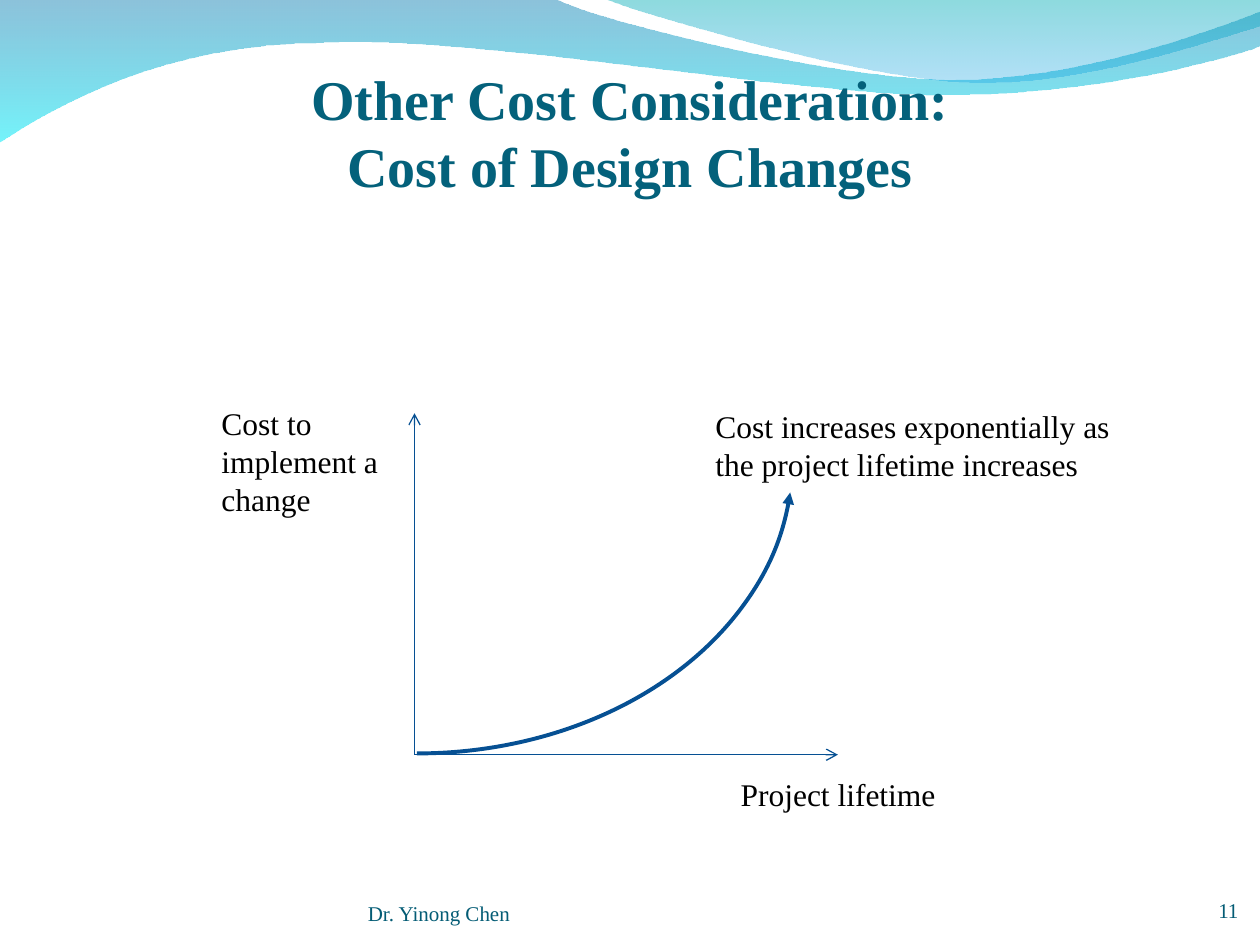
from lxml.etree import SubElement
from pptx import Presentation
from pptx.dml.color import RGBColor
from pptx.enum.shapes import MSO_CONNECTOR as CONNECTOR, MSO_SHAPE as SHAPE
from pptx.enum.text import MSO_ANCHOR as ANCHOR, MSO_AUTO_SIZE as AUTO_SIZE, PP_ALIGN as ALIGN
from pptx.oxml.ns import qn
from pptx.util import Inches, Pt

FONT = "Times New Roman"
BLACK = RGBColor(0x00, 0x00, 0x00)
TITLE_TEAL = RGBColor(0x04, 0x61, 0x7B)
FOOTER_TEAL = RGBColor(0x04, 0x5C, 0x75)
LINE_BLUE = RGBColor(0x06, 0x50, 0x93)
WAVE_BLUE = RGBColor(0x00, 0x79, 0xAF)
WAVE_CYAN = RGBColor(0x00, 0xEB, 0xF8)
WAVE_GREEN = RGBColor(0x00, 0xAD, 0xB6)
WAVE_SKY = RGBColor(0x00, 0x9B, 0xE5)


def draw_outline(shapes, start, segments):
    points = [(Inches(x), Inches(y)) for segment in segments for x, y in segment]
    builder = shapes.build_freeform(*map(Inches, start))
    builder.add_line_segments(points, close=True)
    shape = builder.convert_to_shape()
    lines = shape._element.spPr.iter(qn("a:lnTo"))
    lines = iter(list(lines))
    for segment in segments:
        first, *others = [next(lines) for _ in segment]
        if others:
            first.tag = qn("a:cubicBezTo")
        for other in others:
            first.append(other[0])
            other.getparent().remove(other)
    return shape


def write_text(shape, text, size, color, margins, anchor=ANCHOR.TOP, align=ALIGN.LEFT, bold=False):
    frame = shape.text_frame
    frame.text = text
    sides = ("margin_left", "margin_top", "margin_right", "margin_bottom")
    frame_format = dict(zip(sides, map(Inches, margins)))
    frame_format.update(word_wrap=True, auto_size=AUTO_SIZE.NONE, vertical_anchor=anchor)
    for name, value in frame_format.items():
        setattr(frame, name, value)
    paragraph = frame.paragraphs[0]
    paragraph.alignment = align
    for run in paragraph.runs:
        for name, value in {"name": FONT, "size": Pt(size), "bold": bold}.items():
            setattr(run.font, name, value)
        run.font.color.rgb = color


presentation = Presentation()
presentation.slide_width = Inches(10)
presentation.slide_height = Inches(7.5)
slide = presentation.slides.add_slide(presentation.slide_layouts[5])
shapes = slide.shapes

waves = [
    (
        (0, -0.01),
        [
            [(4.4, -0.01)],
            [(4.76, 0.17), (6.64, 0.63), (7.58, 0.63)],
            [(8.53, 0.63), (9.58, 0.26), (10, 0.09)],
            [(10.01, 0.36)],
            [(9.83, 0.44), (8.7, 0.76), (7.46, 0.75)],
            [(6.22, 0.75), (3.82, 0.28), (2.57, 0.34)],
            [(1.29, 0.35), (0.46, 0.83), (-0.01, 1.13)],
        ],
        [(WAVE_BLUE, 45), (WAVE_CYAN, 55)],
    ),
    (
        (4.79, -0.01),
        [
            [(5.09, 0.11), (6.82, 0.62), (7.69, 0.65)],
            [(8.56, 0.69), (9.61, 0.32), (10, 0.21)],
            [(10, 0)],
        ],
        [(WAVE_GREEN, 45), (WAVE_SKY, 30)],
    ),
]
for start, segments, colors in waves:
    wave = draw_outline(shapes, start, segments)
    wave.shadow.inherit = False
    wave.line.fill.background()
    wave.fill.gradient()
    wave.fill.gradient_angle = 270
    for position, (stop, (color, _)) in enumerate(zip(wave.fill.gradient_stops, colors)):
        stop.position = position
        stop.color.rgb = color
    for color_element, (_, opacity) in zip(wave._element.spPr.iter(qn("a:srgbClr")), colors):
        SubElement(color_element, qn("a:alpha"), val=str(opacity * 1000))

graph = shapes.add_group_shape().shapes
origin = (Inches(3.29), Inches(5.99))
for axis_end in [(3.29, 3.28), (6.65, 5.99)]:
    axis = graph.add_connector(CONNECTOR.STRAIGHT, *origin, *map(Inches, axis_end))
    axis.line.color.rgb = LINE_BLUE
    axis.line.width = Pt(0.75)
    SubElement(axis.line._get_or_add_ln(), qn("a:tailEnd"), type="arrow")
    SubElement(axis._element.spPr, qn("a:effectLst"))

cost_curve = graph.add_shape(SHAPE.ARC, Inches(0.33), Inches(1.33), Inches(5.96), Inches(4.65))
cost_curve.adjustments[0] = 4.9 * 0.6
cost_curve.adjustments[1] = 90 * 0.6
cost_curve.shadow.inherit = False
cost_curve.fill.background()
cost_curve.line.color.rgb = LINE_BLUE
cost_curve.line.width = Pt(2.25)
SubElement(cost_curve.line._get_or_add_ln(), qn("a:headEnd"), type="triangle")

label_margins = (0.1, 0.05, 0.1, 0.05)
for parent, text, box in [
    (graph, "Project lifetime", (5.78, 6.1, 2.3, 0.4)),
    (graph, "Cost to implement a change", (1.66, 3.16, 1.84, 1)),
    (shapes, "Cost increases exponentially as the project lifetime increases", (5.58, 3.18, 3.33, 0.75)),
]:
    label = parent.add_textbox(*map(Inches, box))
    write_text(label, text, 18, BLACK, label_margins)

title = shapes.title
for name, value in {"left": 0.5, "top": 0.6, "width": 9, "height": 0.98}.items():
    setattr(title, name, Inches(value))
write_text(title, "Other Cost Consideration:\vCost of Design Changes", 32, TITLE_TEAL,
           (0, 0.05, 0, 0), ANCHOR.BOTTOM, ALIGN.CENTER, True)
shapes._spTree.append(title._element)

for text, box, align in [
    ("11", (9, 6.92, 0.83, 0.4), ALIGN.RIGHT),
    ("Dr. Yinong Chen", (2.92, 6.95, 3.67, 0.4), ALIGN.LEFT),
]:
    footer = shapes.add_textbox(*map(Inches, box))
    write_text(footer, text, 12, FOOTER_TEAL, (0, 0, 0, 0), ANCHOR.BOTTOM, align)

presentation.save("out.pptx")
